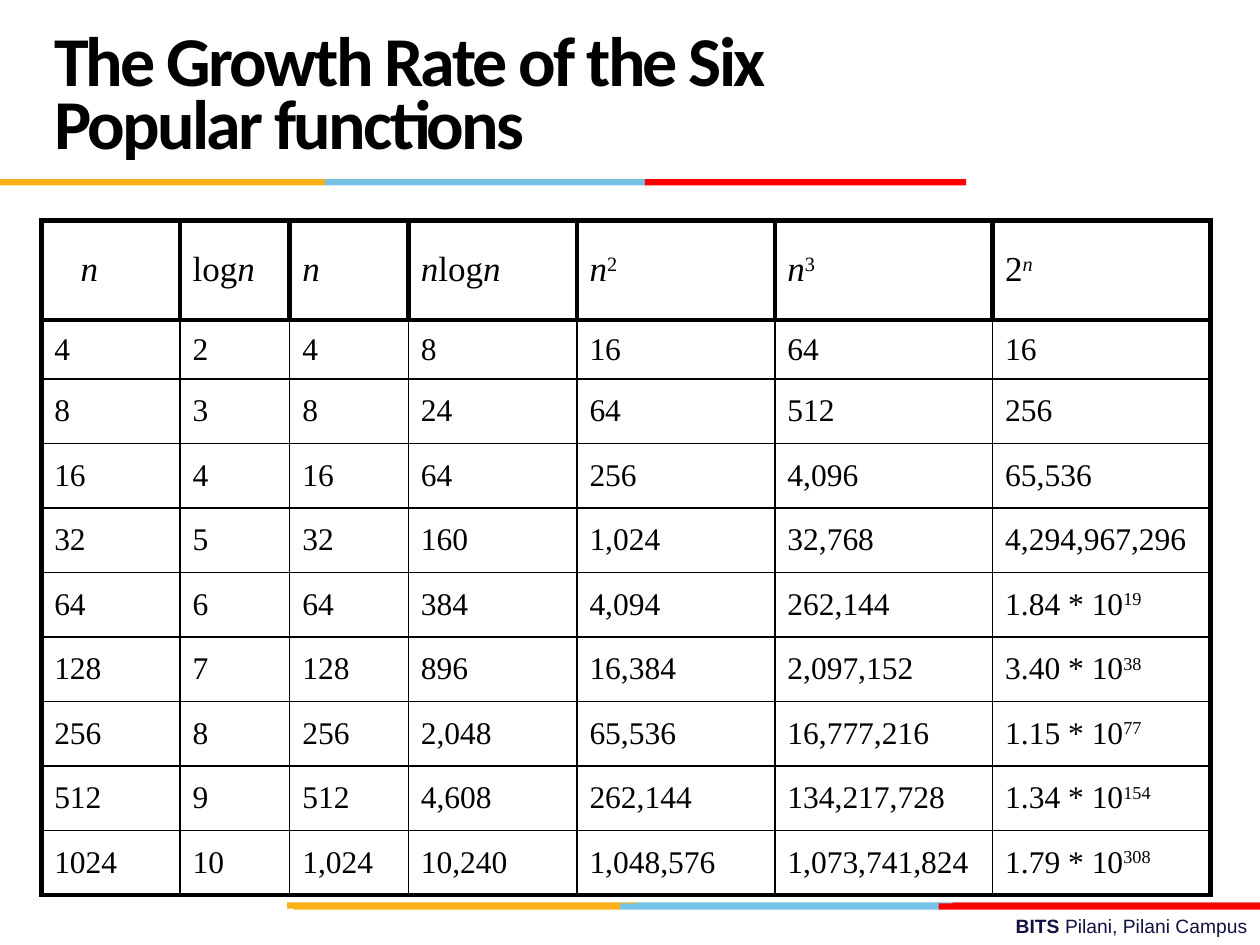
import pptx
import pptx.dml.color
import pptx.enum.shapes
import pptx.enum.text
import pptx.oxml.ns
import pptx.util
from lxml import etree

Cm, Pt = pptx.util.Cm, pptx.util.Pt

# Content: a cell is a list of spans, "^" marks a superscript, "n" is italic
TITLE = "The Growth Rate of the Six Popular functions"
FOOTER = [("BITS ", True), ("Pilani, Pilani Campus", False)]
HEADER = [["n"], ["log", "n"], ["n"], ["n", "log", "n"], ["n", "^2"], ["n", "^3"], ["2", "^n"]]
VALUES = [
    ("4", "2", "4", "8", "16", "64", "16"),
    ("8", "3", "8", "24", "64", "512", "256"),
    ("16", "4", "16", "64", "256", "4,096", "65,536"),
    ("32", "5", "32", "160", "1,024", "32,768", "4,294,967,296"),
    ("64", "6", "64", "384", "4,094", "262,144", ("1.84 * 10", "^19")),
    ("128", "7", "128", "896", "16,384", "2,097,152", ("3.40 * 10", "^38")),
    ("256", "8", "256", "2,048", "65,536", "16,777,216", ("1.15 * 10", "^77")),
    ("512", "9", "512", "4,608", "262,144", "134,217,728", ("1.34 * 10", "^154")),
    ("1024", "10", "1,024", "10,240", "1,048,576", "1,073,741,824", ("1.79 * 10", "^308")),
]
ROWS = [HEADER] + [[[v] if isinstance(v, str) else v for v in row] for row in VALUES]

# Layout in centimetres
COLUMN_WIDTHS = [2.79, 2.21, 2.39, 3.4, 3.99, 4.39, 4.39]
ROW_HEIGHTS = [2.01, 1.19] + [1.3] * 8
AMBER, SKY, RED, DARK_RED = "FCB017", "76C2E5", "FF0000", "E31C24"
STRIPES = [  # top, edges of the three bands, last colour
    (18.19, (5.79, 12.85, 19.2, 25.4), DARK_RED),
    (18.21, (5.92, 12.5, 18.92, 25.4), RED),
    (3.61, (0, 6.55, 13, 19.48), RED),
]


def colour(value):
    return pptx.dml.color.RGBColor.from_string(value)


def set_font(paragraph, name, size, value):
    font = paragraph.font
    font.name, font.size = name, Pt(size)
    font.color.rgb = colour(value)
    return font


def add_text_box(page, left, top, width, height):
    frame = page.shapes.add_textbox(Cm(left), Cm(top), Cm(width), Cm(height)).text_frame
    frame.word_wrap = True
    return frame


def add_stripe(page, top, edges, last):
    for left, right, value in zip(edges, edges[1:], (AMBER, SKY, last)):
        band = page.shapes.add_shape(pptx.enum.shapes.MSO_SHAPE.RECTANGLE,
                                     Cm(left), Cm(top), Cm(right - left), Cm(0.13))
        band.shadow.inherit = False
        band.fill.solid()
        band.fill.fore_color.rgb = colour(value)
        band.line.fill.background()


def add_border(cell, side, points):
    properties = cell._tc.get_or_add_tcPr()
    line = etree.SubElement(properties, pptx.oxml.ns.qn("a:ln" + side), w=str(Pt(points)))
    fill = etree.SubElement(line, pptx.oxml.ns.qn("a:solidFill"))
    etree.SubElement(fill, pptx.oxml.ns.qn("a:srgbClr"), val="000000")


def fill_cell(cell, spans, row, column):
    header = row == 0
    cell.vertical_anchor = pptx.enum.text.MSO_ANCHOR.MIDDLE
    paragraph = cell.text_frame.paragraphs[0]
    if header and column == 0:
        paragraph._p.get_or_add_pPr().set("marL", str(Cm(0.53)))
    set_font(paragraph, "Times New Roman", 20 if header else 18, "000000")
    for text in spans:
        span = paragraph.add_run()
        span.text = text.lstrip("^")
        if span.text == "n":
            span.font.italic = True
        if text.startswith("^"):
            span._r.get_or_add_rPr().set("baseline", "30000")
    # Heavy lines around the table and every header cell
    heavy = {
        "L": header or column == 0,
        "R": header or column == len(COLUMN_WIDTHS) - 1,
        "T": row <= 1,
        "B": header or row == len(ROWS) - 1,
    }
    for side, thick in heavy.items():
        add_border(cell, side, 3 if thick else 1)
    cell.fill.background()


def add_growth_table(page):
    table = page.shapes.add_table(len(ROWS), len(COLUMN_WIDTHS), Cm(0.84), Cm(4.44),
                                  Cm(sum(COLUMN_WIDTHS)), Cm(sum(ROW_HEIGHTS))).table
    table.first_row = table.horz_banding = False
    for column, width in zip(table.columns, COLUMN_WIDTHS):
        column.width = Cm(width)
    for row, height in zip(table.rows, ROW_HEIGHTS):
        row.height = Cm(height)
    for r, row in enumerate(ROWS):
        for c, spans in enumerate(row):
            fill_cell(table.cell(r, c), spans, r, c)


def main():
    deck = pptx.Presentation()
    deck.slide_width, deck.slide_height = Cm(25.4), Cm(19.05)
    page = deck.slides.add_slide(deck.slide_layouts[6])

    # Footer
    paragraph = add_text_box(page, 9.09, 18.31, 16.31, 0.74).paragraphs[0]
    paragraph.alignment = pptx.enum.text.PP_ALIGN.RIGHT
    set_font(paragraph, "Arial", 11, "101141")
    for text, bold in FOOTER:
        span = paragraph.add_run()
        span.text, span.font.bold = text, bold

    for stripe in STRIPES:
        add_stripe(page, *stripe)
    add_growth_table(page)

    # Title
    frame = add_text_box(page, 0.84, 0.43, 17.58, 3.18)
    frame.vertical_anchor = pptx.enum.text.MSO_ANCHOR.MIDDLE
    paragraph = frame.paragraphs[0]
    paragraph.line_spacing = Pt(36)
    set_font(paragraph, "Calibri", 40, "000000").bold = True
    span = paragraph.add_run()
    span.text = TITLE
    span._r.get_or_add_rPr().set("spc", "-150")

    deck.save("out.pptx")


if __name__ == "__main__":
    main()
